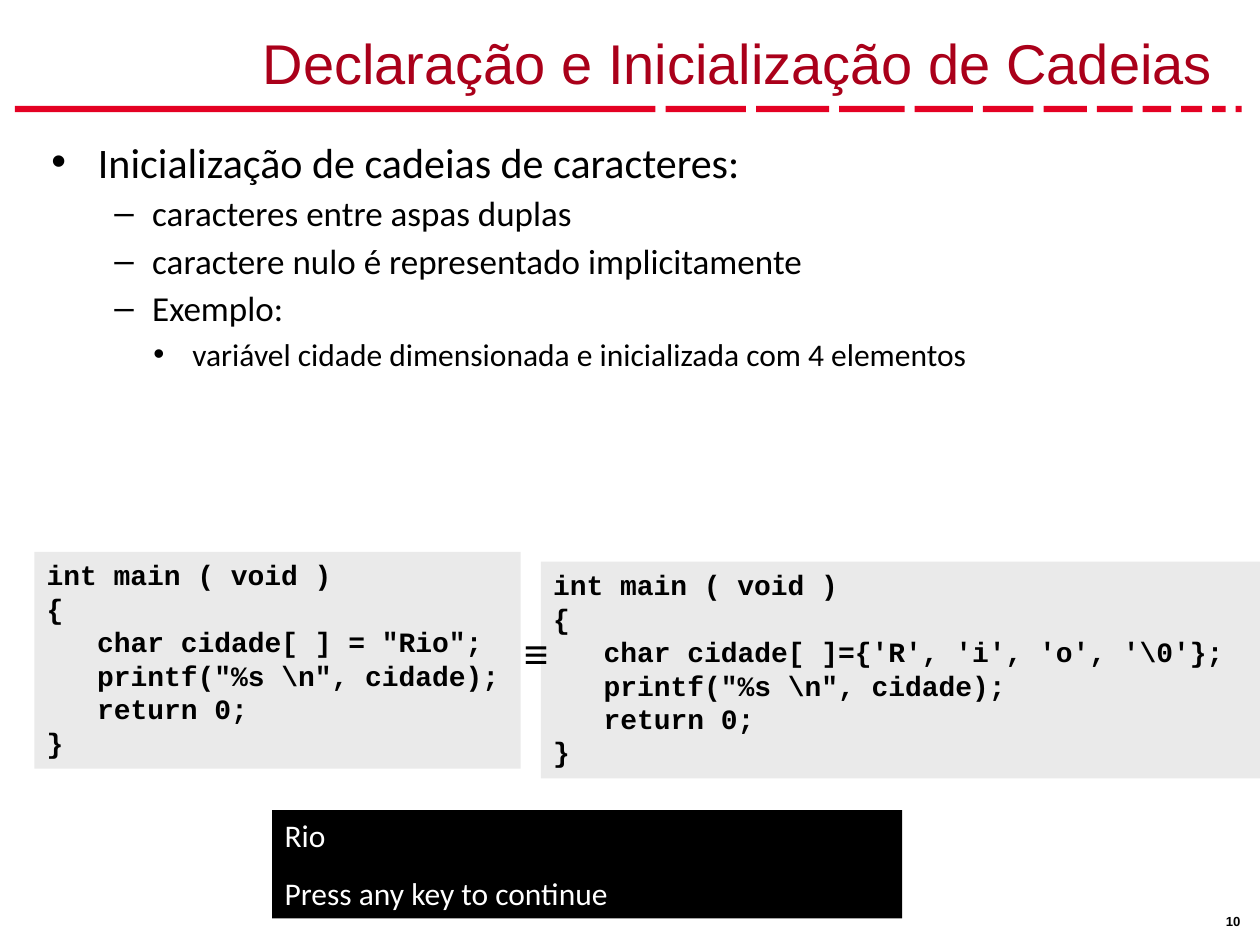
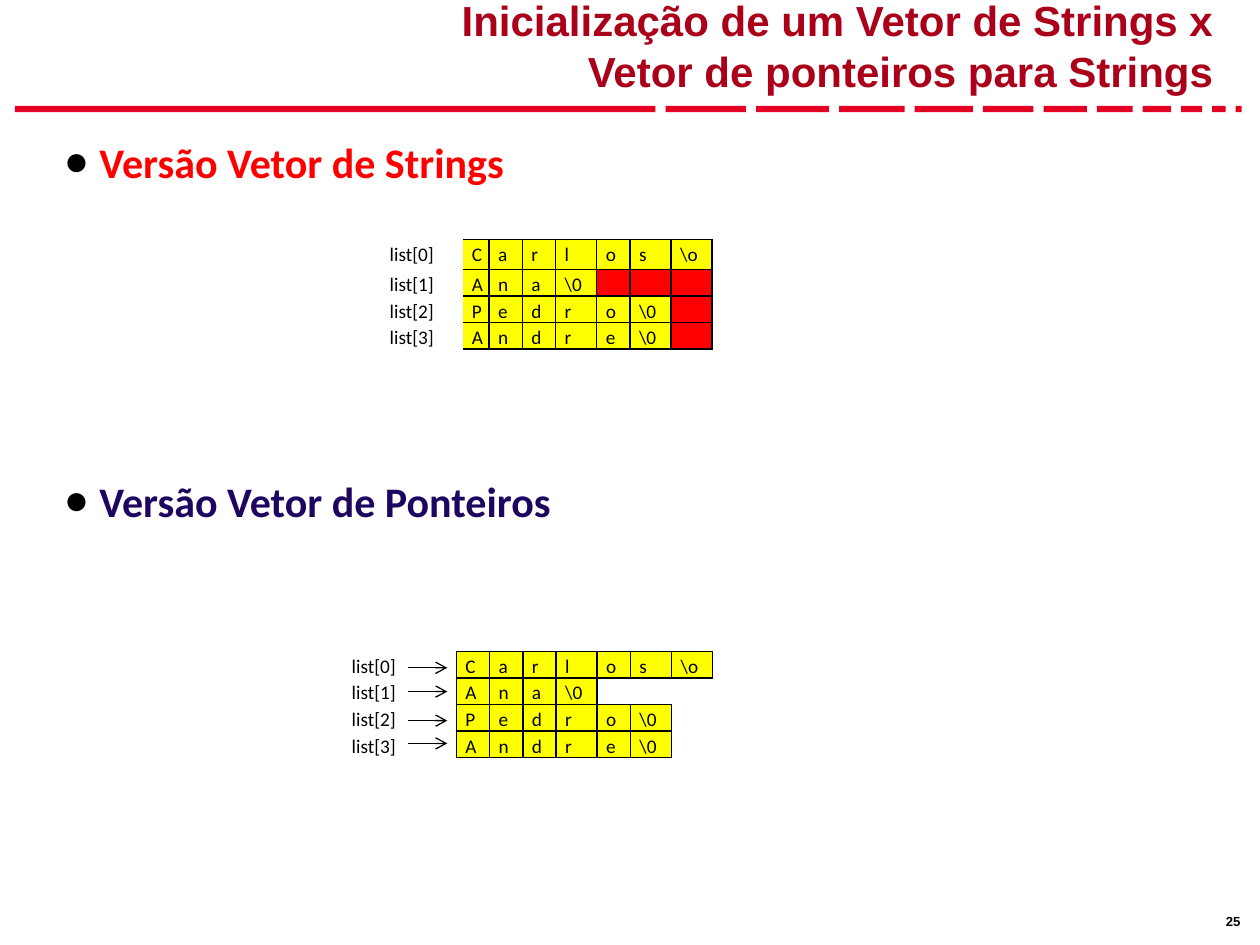
import dataclasses

import pptx
import pptx.dml.color
import pptx.enum.shapes
import pptx.enum.text
import pptx.oxml.ns
import pptx.util
from lxml import etree

Pt = pptx.util.Pt
qn = pptx.oxml.ns.qn


@dataclasses.dataclass(frozen=True)
class Theme:
    """Colours, fonts and type sizes shared by the slides."""
    title: str = "AA001A"
    band: str = "E40123"
    text: str = "000000"
    paper: str = "FFFFFF"
    code_fill: str = "EAEAEA"
    used: str = "FFFF00"
    wasted: str = "FF0000"
    pointer: str = "1E0660"
    heading_font: str = "Arial"
    body_font: str = "Calibri"
    code_font: str = "Courier New"
    title_size: float = 32
    long_title_size: float = 24
    body_sizes: tuple = (24, 20, 18)
    code_size: float = 16
    cell_size: float = 11
    number_size: float = 7.5


THEME = Theme()
TITLE_BOX = (22.3, 5.8, 678.2, 52.6)
BODY_BOX = (22.3, 74.2, 681, 434)
NUMBER_BOX = (693.4, 518.4, 23.8, 14.4)
BAND_BOX = (8.6, 60.5, 366, 3.6)
NAMES = (
    ("C", "a", "r", "l", "o", "s", r"\o"),
    ("A", "n", "a", r"\0"),
    ("P", "e", "d", "r", "o", r"\0"),
    ("A", "n", "d", "r", "e", r"\0"),
)
LETTER_WIDTHS = (19, 19, 19, 23.5, 19, 23.5, 23.5)


def points(values):
    """Turn numbers into lengths in points."""
    return [Pt(value) for value in values]


def rgb(colour):
    """Return the colour object for a hexadecimal string."""
    return pptx.dml.color.RGBColor.from_string(colour)


def style(paragraph, font, size, colour, bold=False):
    """Set the font of a whole paragraph."""
    paragraph.font.name = font
    paragraph.font.size = Pt(size)
    paragraph.font.color.rgb = rgb(colour)
    paragraph.font.bold = bold


def indent(paragraph, left, first=0):
    """Set the left margin and first-line indent of a paragraph."""
    properties = paragraph._p.get_or_add_pPr()
    properties.set("marL", str(Pt(left)))
    properties.set("indent", str(Pt(first)))


def bullet(paragraph, symbol):
    """Give a paragraph a bullet in the text colour."""
    properties = paragraph._p.get_or_add_pPr()
    colour = etree.Element(qn("a:buClr"))
    etree.SubElement(colour, qn("a:srgbClr"), val=THEME.text)
    font = etree.Element(qn("a:buFont"), typeface=THEME.heading_font)
    character = etree.Element(qn("a:buChar"), char=symbol)
    default_font = properties.find(qn("a:defRPr"))
    for element in (colour, font, character):
        default_font.addprevious(element)


def fill_paragraphs(text_frame, lines):
    """Write one paragraph per line and yield each of them."""
    for index, line in enumerate(lines):
        paragraph = text_frame.add_paragraph() if index else text_frame.paragraphs[0]
        paragraph.text = line
        yield paragraph


def add_text_box(slide, box, wrap=True):
    """Add a text box and return its text frame."""
    text_frame = slide.shapes.add_textbox(*points(box)).text_frame
    text_frame.word_wrap = wrap
    return text_frame


def add_panel(slide, box, colour):
    """Add a plain filled rectangle with top-left text."""
    shape = slide.shapes.add_shape(
        pptx.enum.shapes.MSO_SHAPE.RECTANGLE, *points(box))
    shape.shadow.inherit = False
    shape.fill.solid()
    shape.fill.fore_color.rgb = rgb(colour)
    shape.line.fill.background()
    shape.text_frame.vertical_anchor = pptx.enum.text.MSO_ANCHOR.TOP
    return shape


def add_band(slide, box):
    """Draw a long bar followed by eleven steadily shorter dashes."""
    left, top, width, height = box
    gap = 5.7
    for dash_width in [width] + [46 - 4.25 * step for step in range(11)]:
        add_panel(slide, (left, top, dash_width, height), THEME.band)
        left += dash_width + gap


def add_title(slide, box, lines, size, bold):
    """Place and format the title placeholder."""
    title = slide.shapes.title
    title.left, title.top, title.width, title.height = points(box)
    title.text_frame.auto_size = pptx.enum.text.MSO_AUTO_SIZE.NONE
    title.text_frame.vertical_anchor = pptx.enum.text.MSO_ANCHOR.BOTTOM
    paragraph = title.text_frame.paragraphs[0]
    for index, line in enumerate(lines):
        if index:
            paragraph.add_line_break()
        paragraph.add_run().text = line
    paragraph.alignment = pptx.enum.text.PP_ALIGN.RIGHT
    paragraph.line_spacing = Pt(round(size * 1.21, 1))
    style(paragraph, THEME.heading_font, size, THEME.title, bold)


def add_base_slide(presentation, number, title_lines, size, bold=False):
    """Add a slide with the title, band and slide number."""
    slide = presentation.slides.add_slide(presentation.slide_layouts[5])
    add_band(slide, BAND_BOX)
    add_title(slide, TITLE_BOX, title_lines, size, bold)
    paragraph = add_text_box(slide, NUMBER_BOX).paragraphs[0]
    paragraph.text = number
    style(paragraph, THEME.heading_font, THEME.number_size, THEME.text, True)
    return slide


def add_outline(slide, box, items):
    """Write a bulleted outline of (level, text) items."""
    levels = (("•", 26.6, -26.6, 3.6), ("–", 57.6, -21.6, 3), ("•", 80.6, -22.3, 3.6))
    paragraphs = fill_paragraphs(add_text_box(slide, box), [text for _, text in items])
    for paragraph, (level, _) in zip(paragraphs, items):
        symbol, left, first, space = levels[level]
        paragraph.level = level
        paragraph.space_before = Pt(space)
        style(paragraph, THEME.body_font, THEME.body_sizes[level], THEME.text)
        indent(paragraph, left, first)
        bullet(paragraph, symbol)


def add_code(slide, box, declaration):
    """Show a small program that declares and prints the city."""
    statements = (declaration, r'printf("%s \n", cidade);', "return 0;")
    lines = ("int main ( void )", "{", *statements, "}")
    text_frame = add_panel(slide, box, THEME.code_fill).text_frame
    for paragraph in fill_paragraphs(text_frame, lines):
        paragraph.alignment = pptx.enum.text.PP_ALIGN.LEFT
        paragraph.line_spacing = Pt(19.1)
        style(paragraph, THEME.code_font, THEME.code_size, THEME.text, True)
        if paragraph.text in statements:
            indent(paragraph, 28.8)


def add_console(slide, box, lines):
    """Show program output on a black screen."""
    text_frame = add_panel(slide, box, THEME.text).text_frame
    for paragraph in fill_paragraphs(text_frame, lines):
        paragraph.alignment = pptx.enum.text.PP_ALIGN.LEFT
        paragraph.space_before = Pt(11.2)
        style(paragraph, THEME.body_font, THEME.body_sizes[2], THEME.paper)


def add_versions(slide, box):
    """Write the two version headings, spaced to leave room for tables."""
    versions = (("Versão Vetor de Strings", THEME.wasted, 3.6),
                ("Versão Vetor de Ponteiros", THEME.pointer, 165))
    paragraphs = fill_paragraphs(add_text_box(slide, box), [item[0] for item in versions])
    for paragraph, (_, colour, space) in zip(paragraphs, versions):
        paragraph.space_before = Pt(space)
        style(paragraph, THEME.body_font, THEME.body_sizes[0], colour, True)
        indent(paragraph, 27.4, -20.2)
        bullet(paragraph, "●")


def border_cell(cell, sides):
    """Draw black lines on the given sides of a cell."""
    properties = cell._tc.get_or_add_tcPr()
    for side in sides:
        line = etree.SubElement(properties, qn(f"a:ln{side}"), w=str(Pt(1)))
        fill = etree.SubElement(line, qn("a:solidFill"))
        etree.SubElement(fill, qn("a:srgbClr"), val=THEME.text)


def format_cell(cell, text, colour, sides):
    """Write and format one memory cell."""
    cell.margin_left = cell.margin_right = Pt(5.2)
    cell.margin_top = cell.margin_bottom = Pt(0)
    border_cell(cell, sides)
    cell.fill.solid()
    cell.fill.fore_color.rgb = rgb(colour)
    paragraph = cell.text_frame.paragraphs[0]
    paragraph.line_spacing = 1.15
    style(paragraph, THEME.body_font, THEME.cell_size, THEME.text)
    if text:
        paragraph.text = text
    else:
        etree.SubElement(paragraph._p, qn("a:endParaRPr"), sz=str(THEME.cell_size * 100))


def add_memory_table(slide, left, top, widths, heights, lead, spare):
    """Lay out the names by letter after the lead columns."""
    frame = slide.shapes.add_table(
        len(NAMES), len(widths), *points((left, top, sum(widths), sum(heights))))
    table = frame.table
    table.first_row = table.horz_banding = False
    table._tbl.tblPr.find(qn("a:tableStyleId")).text = "{2D5ABB26-0587-4C30-8999-92F81FD0307C}"
    for column, width in zip(table.columns, widths):
        column.width = Pt(width)
    for row, height in zip(table.rows, heights):
        row.height = Pt(height)
    for row, name in enumerate(NAMES):
        texts = [f"list[{row}]"] + [""] * (lead - 1) + list(name)
        texts += [""] * (len(widths) - len(texts))
        for column, text in enumerate(texts):
            is_letter = lead <= column < lead + len(name)
            colour = THEME.used if is_letter else THEME.paper if column < lead else spare
            sides = "" if colour == THEME.paper else "RTB" if column == 1 else "LRTB"
            format_cell(table.cell(row, column), text, colour, sides)


def add_arrow(slide, left, top, length):
    """Draw a thin horizontal arrow pointing right."""
    connector = slide.shapes.add_connector(
        pptx.enum.shapes.MSO_CONNECTOR.STRAIGHT, *points((left, top, left + length, top)))
    connector.line.color.rgb = rgb(THEME.text)
    connector.line.width = Pt(0.75)
    etree.SubElement(connector.line._get_or_add_ln(), qn("a:tailEnd"), type="arrow")
    etree.SubElement(connector._element.spPr, qn("a:effectLst"))


def add_pointer_table(slide, left, top):
    """Show pointers leading to names of different lengths."""
    add_memory_table(slide, left, top, (51, 14, *LETTER_WIDTHS), [15.2] * 4, 2, THEME.paper)
    for offset in (9.4, 23, 39.6, 52.6):
        add_arrow(slide, left + 37.3, top + offset, 22.5)


def build_declaration_slide(presentation):
    """Build the slide on declaring and initialising strings."""
    slide = add_base_slide(
        presentation, "10", ["Declaração e Inicialização de Cadeias"], THEME.title_size)
    add_outline(slide, BODY_BOX, (
        (0, "Inicialização de cadeias de caracteres:"),
        (1, "caracteres entre aspas duplas"),
        (1, "caractere nulo é representado implicitamente"),
        (1, "Exemplo:"),
        (2, "variável cidade dimensionada e inicializada com 4 elementos"),
    ))
    add_code(slide, (19.6, 315.4, 278, 123.8), 'char cidade[ ] = "Rio";')
    add_code(slide, (309, 321, 411, 123.8), r"char cidade[ ]={'R', 'i', 'o', '\0'};")
    equivalence = add_text_box(slide, (292.3, 355, 27.4, 36), wrap=False).paragraphs[0]
    equivalence.text = "≡"
    style(equivalence, THEME.heading_font, THEME.body_sizes[0], THEME.text, True)
    add_console(slide, (155.6, 463, 360, 61.8), ("Rio", "Press any key to continue"))


def build_comparison_slide(presentation):
    """Build the slide comparing string arrays and pointer arrays."""
    slide = add_base_slide(
        presentation, "25",
        ["Inicialização de um Vetor de Strings x", "Vetor de ponteiros para Strings"],
        THEME.long_title_size, True)
    add_versions(slide, BODY_BOX)
    add_memory_table(slide, 217.5, 136.8, (47, 15, *LETTER_WIDTHS[1:]),
                     (17.2, 15.2, 15.2, 15.2), 1, THEME.wasted)
    add_pointer_table(slide, 195.8, 372.2)


def main():
    """Build and save the presentation."""
    presentation = pptx.Presentation()
    presentation.slide_width, presentation.slide_height = Pt(720), Pt(540)
    build_declaration_slide(presentation)
    build_comparison_slide(presentation)
    presentation.save("out.pptx")


if __name__ == "__main__":
    main()
